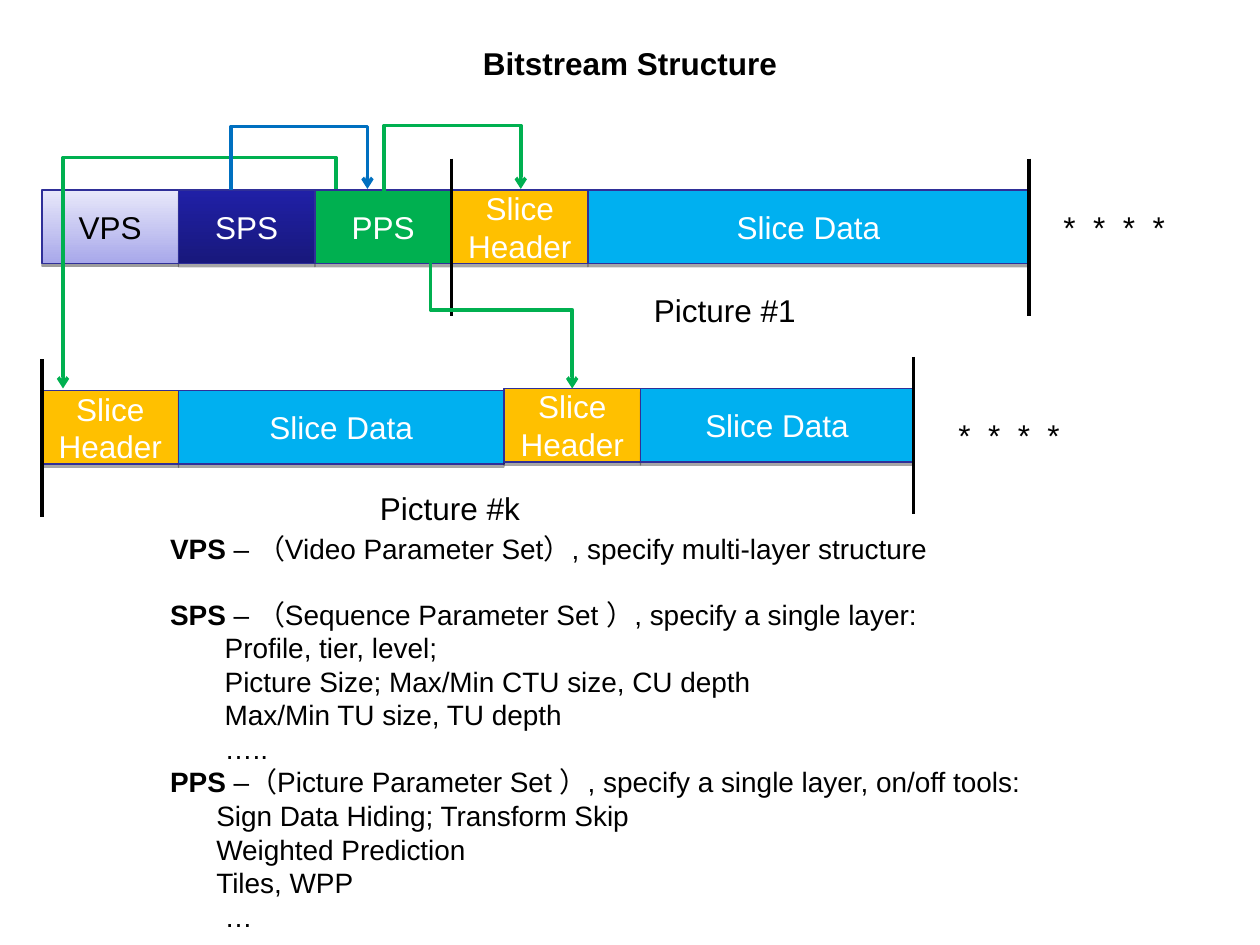
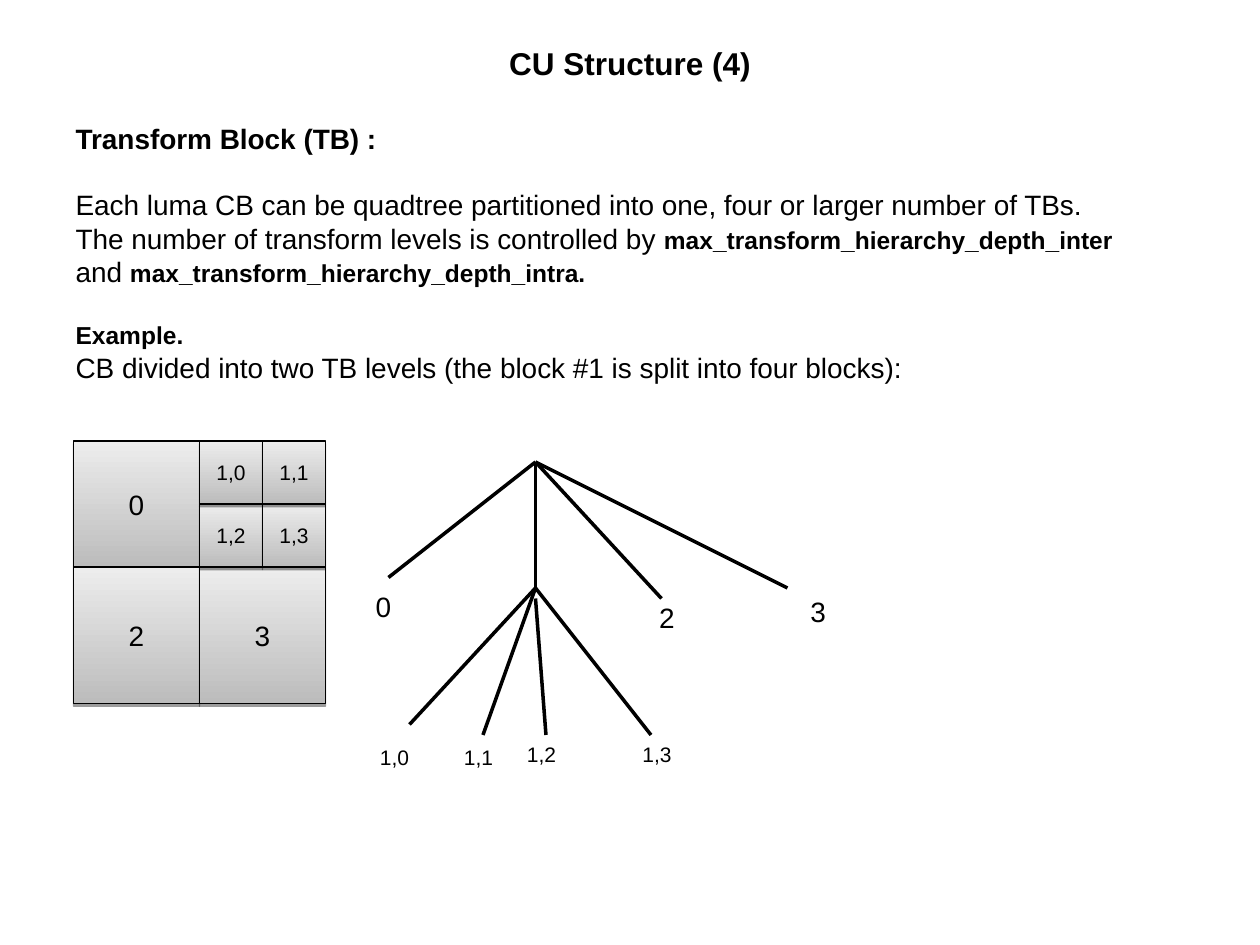
from lxml import etree
from pptx import Presentation
from pptx import util as u
from pptx.dml import color
from pptx.enum import shapes, text
from pptx.oxml import ns

PX = 7620  # EMU per px, 120 px to the inch
BLACK, WHITE, GREEN, BLUE = "000000", "FFFFFF", "00B050", "0070C0"
AMBER, SKY, NAVY = "FFC000", "00B0F0", "2F2F98"
LILAC_FADE = ("A8A8EA", "E8E8FA")
NAVY_FADE = ("18187C", "2020A6")
GREY_FADE = ("BCBCBC", "EDEDED")


def px(*lengths):
    return [u.Emu(int(n * PX)) for n in lengths]


def rgb(value):
    return color.RGBColor.from_string(value)


def add_xml(parent, tag, **attrs):
    return etree.SubElement(parent, ns.qn(tag), {k: str(v) for k, v in attrs.items()})


class Deck:
    """Holds the style and the current slide."""

    font = "Arial"

    def __init__(self):
        self.prs = Presentation()
        self.prs.slide_width, self.prs.slide_height = px(1200, 900)

    def place(self, sp, box):
        sp.left, sp.top, sp.width, sp.height = px(*box)

    def run(self, p, words, size, fill=BLACK, bold=False):
        r = p.add_run()
        r.text = words
        r.font.name, r.font.size, r.font.bold = self.font, u.Pt(size), bold
        r.font.color.rgb = rgb(fill)
        return r

    def slide(self, title):
        self.s = self.prs.slides.add_slide(self.prs.slide_layouts[1])
        sp = self.s.shapes.title
        self.place(sp, (60, 10, 1080, 100))
        tf = sp.text_frame
        tf.vertical_anchor = text.MSO_ANCHOR.MIDDLE
        p = tf.paragraphs[0]
        p.alignment = text.PP_ALIGN.CENTER
        self.run(p, title, 18, bold=True)

    def body(self, box, paragraphs):
        """Each paragraph is (indent px, space before pt, [(words, size, bold)])."""
        sp = self.s.placeholders[1]
        self.place(sp, box)
        tf = sp.text_frame
        tf.auto_size = text.MSO_AUTO_SIZE.NONE
        tf.vertical_anchor = text.MSO_ANCHOR.TOP
        for i, (indent, before, runs) in enumerate(paragraphs):
            p = tf.add_paragraph() if i else tf.paragraphs[0]
            pPr = p._p.get_or_add_pPr()
            pPr.set("marL", str(indent * PX))
            pPr.set("indent", "0")
            add_xml(pPr, "a:buNone")
            p.space_before = u.Pt(before)
            for words, size, bold in runs:
                self.run(p, words, size, bold=bold)

    def label(self, x, y, w, words, size, spacing=0):
        sp = self.s.shapes.add_textbox(*px(x, y, w, size * 2 + 12))
        tf = sp.text_frame
        tf.word_wrap = True
        r = self.run(tf.paragraphs[0], words, size)
        if spacing:
            r.font._element.set("spc", str(spacing))

    def block(self, box, words, fill, size=18, ink=WHITE, line=NAVY, shadow=(35, 23000)):
        sp = self.s.shapes.add_shape(shapes.MSO_SHAPE.RECTANGLE, *px(*box))
        if isinstance(fill, tuple):
            sp.fill.gradient()
            sp.fill.gradient_angle = 90
            for stop, shade in zip(sp.fill.gradient_stops, fill):
                stop.color.rgb = rgb(shade)
        else:
            sp.fill.solid()
            sp.fill.fore_color.rgb = rgb(fill)
        sp.line.color.rgb, sp.line.width = rgb(line), u.Pt(0.75)
        # Hard drop shadow straight below
        sp.shadow.inherit = False
        alpha, dist = shadow
        effects = sp._element.spPr.find(ns.qn("a:effectLst"))
        drop = add_xml(effects, "a:outerShdw", blurRad=0, dist=dist, dir=5400000, rotWithShape=0)
        add_xml(add_xml(drop, "a:srgbClr", val=BLACK), "a:alpha", val=alpha * 1000)
        tf = sp.text_frame
        tf.word_wrap = True
        tf.vertical_anchor = text.MSO_ANCHOR.MIDDLE
        p = tf.paragraphs[0]
        p.alignment = text.PP_ALIGN.CENTER
        self.run(p, words, size, ink)

    def line(self, x1, y1, x2, y2, ink=BLACK, kind=shapes.MSO_CONNECTOR.STRAIGHT):
        c = self.s.shapes.add_connector(kind, *px(x1, y1, x2, y2))
        c.line.color.rgb, c.line.width = rgb(ink), u.Pt(2)
        add_xml(c._element.spPr, "a:effectLst")
        return c

    def elbow(self, x1, y1, x2, y2, via, ink):
        """Arrow that runs vertically to the height via, across, then to its end."""
        cx, cy = (x1 + x2) / 2, (y1 + y2) / 2
        w, h = abs(y2 - y1) / 2, abs(x2 - x1) / 2
        c = self.line(cx - w, cy - h, cx + w, cy + h, ink, shapes.MSO_CONNECTOR.ELBOW)
        right, down = x2 > x1, y2 > y1
        spPr = c._element.spPr
        spPr.xfrm.set("rot", str((270 if right and down else 90) * 60000))
        spPr.xfrm.set("flipH", str(int(right)))
        spPr.xfrm.set("flipV", str(int(right and not down)))
        bend = round((via - y1) / (y2 - y1) * 100000)
        guides = spPr.find(ns.qn("a:prstGeom")).find(ns.qn("a:avLst"))
        add_xml(guides, "a:gd", name="adj1", fmla=f"val {bend}")
        add_xml(spPr.find(ns.qn("a:ln")), "a:tailEnd", type="arrow")


def bitstream_slide(d):
    d.slide("Bitstream Structure")

    # Parameter set definitions
    def term(name, words, before=0):
        return 60, before, [(name, 16, True), (words, 16, False)]

    def details(indent, *lines):
        return [(indent, 0, [(words, 16, False)]) for words in lines]

    d.body((90, 500, 980, 396), [
        term("VPS", " – （Video Parameter Set）, specify multi-layer structure"),
        term("SPS", " – （Sequence Parameter Set ）, specify a single layer:", 18.4),
        *details(112, "Profile, tier, level;", "Picture Size; Max/Min CTU size, CU depth",
                 "Max/Min TU size, TU depth", "….."),
        term("PPS", " –（Picture Parameter Set ）, specify a single layer, on/off tools:"),
        *details(104, "Sign Data Hiding; Transform Skip", "Weighted Prediction", "Tiles, WPP"),
        *details(112, "…"),
    ])

    # First row: parameter sets and picture 1
    unit, height, left = 130, 70, 40
    d.block((left, 181, unit, height), "VPS", LILAC_FADE, ink=BLACK, shadow=(38, 20000))
    d.block((left + unit, 181, unit, height), "SPS", NAVY_FADE)
    d.block((left + 2 * unit, 181, unit, height), "PPS", GREEN)

    # Slices: left, top, width of the data
    for x, y, data in ((430, 181, 420), (40, 372, 310), (480, 370, 260)):
        d.block((x, y, unit, height), "Slice Header", AMBER)
        d.block((x + unit, y, data, height), "Slice Data", SKY)

    # Picture borders
    for x, y in ((430, 151), (980, 151), (40, 342), (870, 340)):
        d.line(x, y, x, y + 150)
    d.label(611, 271, 170, "Picture #1", 18)
    d.label(350, 460, 170, "Picture #k", 18)
    for x, y in ((1001, 192), (901, 390)):
        d.label(x, y, 150, "* * * *", 18, spacing=250)

    # References between headers
    d.elbow(366, 182, 496, 180, 119, GREEN)
    d.elbow(320, 180, 60, 370, 150, GREEN)
    d.elbow(410, 220, 545, 370, 295, GREEN)
    d.elbow(220, 181, 350, 180, 120, BLUE)


def transform_slide(d):
    d.slide("CU Structure (4)")
    d.body((60, 110, 1020, 392), [
        (0, 0, [("Transform Block (TB) :", 16, True)]),
        (0, 18.4, [("Each luma CB can be quadtree partitioned into one, four or "
                    "larger number of TBs.", 16, False)]),
        (0, 0, [("The number of transform levels is controlled by ", 16, False),
                ("max_transform_hierarchy_depth_inter", 14, True)]),
        (0, 0, [("and ", 16, False), ("max_transform_hierarchy_depth_intra.", 14, True)]),
        (0, 16.1, [("Example.", 14, True), (" ", 16, False)]),
        (0, 0, [("CB divided into two TB levels (the block #1 is split into four blocks):",
                 16, False)]),
    ])

    # Coding block split into transform blocks
    def tb(box, words, size):
        d.block(box, words, GREY_FADE, size, BLACK, BLACK, (38, 20000))

    left, top, side = 70, 420, 120
    half = side // 2
    tb((left, top, side, side), "0", 16)
    tb((left, top + side, side, 130), "2", 16)
    tb((left + side, top + side, side, 130), "3", 16)
    for i in (2, 3, 0, 1):
        row, col = divmod(i, 2)
        tb((left + side + col * half, top + row * half, half, half), f"1,{i}", 12)

    # Quadtree branches
    for x, y in ((370, 550), (510, 560), (630, 570), (750, 560)):
        d.line(510, 440, x, y)
    for start, x, y in ((560, 390, 690), (560, 460, 700), (570, 520, 700), (560, 620, 700)):
        d.line(510, start, x, y)

    # Leaf labels
    for words, x, y in (("0", 346, 556), ("2", 616, 566), ("3", 760, 560)):
        d.label(x, y, 40, words, 16)
    for i, (x, y) in enumerate(((350, 703), (430, 703), (490, 700), (600, 700))):
        d.label(x, y, 100, f"1,{i}", 12)


def main():
    d = Deck()
    bitstream_slide(d)
    transform_slide(d)
    d.prs.save("out.pptx")


if __name__ == "__main__":
    main()
